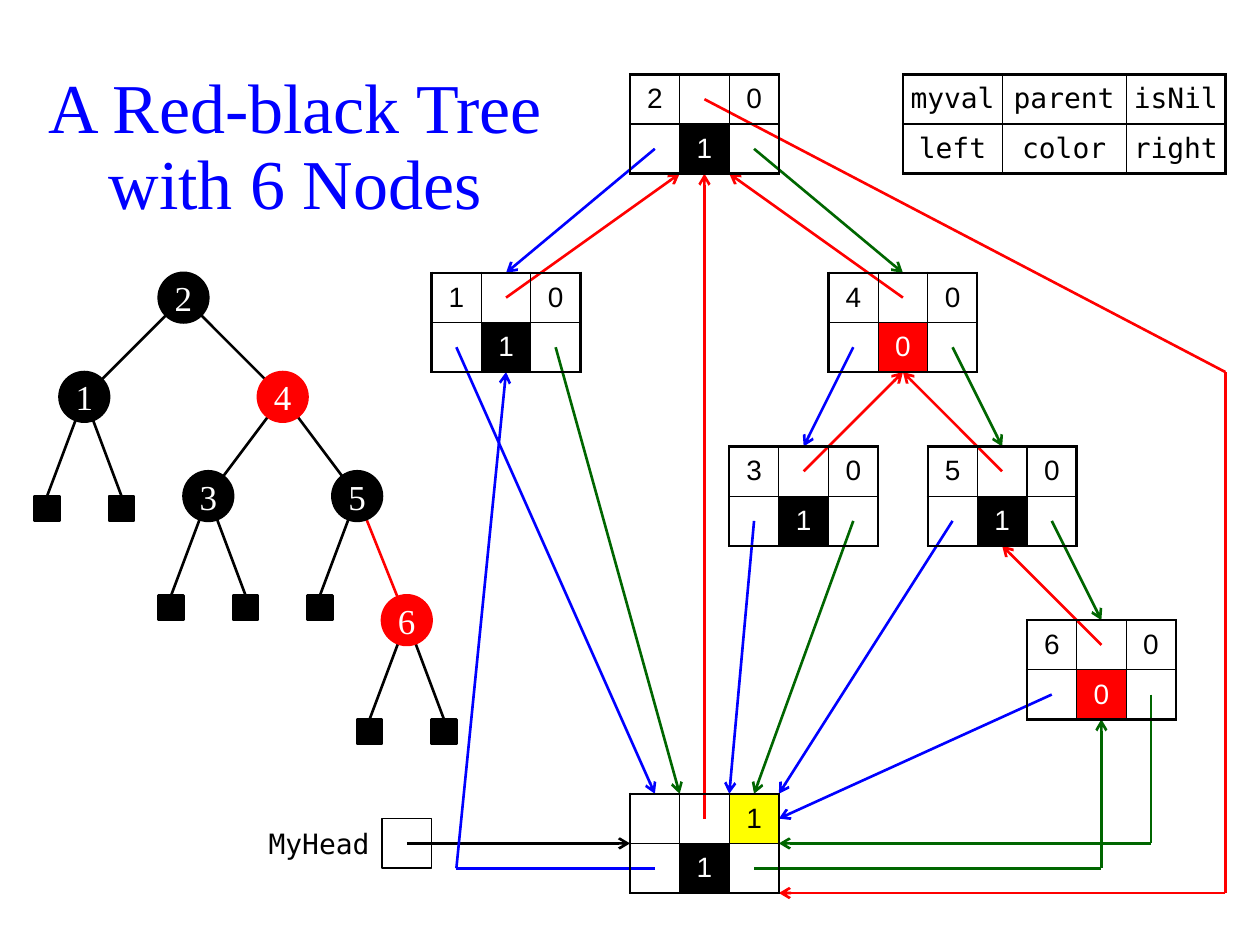
from itertools import pairwise, product

from lxml.etree import SubElement as Sub
from pptx import Presentation
from pptx.dml.color import RGBColor as Rgb
from pptx.enum.shapes import MSO_CONNECTOR as Line, MSO_SHAPE as Form
from pptx.enum.text import MSO_ANCHOR as Anchor, MSO_AUTO_SIZE as Fit, PP_ALIGN as Align
from pptx.oxml.ns import qn
from pptx.util import Pt

BLACK = Rgb(0, 0, 0)
WHITE = Rgb(255, 255, 255)
RED = Rgb(255, 0, 0)
GREEN = Rgb(0, 0x66, 0)
BLUE = Rgb(0, 0, 255)
YELLOW = Rgb(255, 255, 0)
SERIF, SANS, MONO = "Times New Roman", "Arial", "DejaVu Sans Mono"

# Everything sits on a grid of square units, in points
UNIT = 28.35
INDENT = 19.84
THICK, THIN = 1.5, 0.75

# Top left corner of each record, in grid units
PLACES = {"2": (12, 1.5), "1": (8, 5.5), "4": (16, 5.5), "3": (14, 9),
          "5": (18, 9), "6": (20, 12.5), "head": (12, 16)}
REDS = {"4", "6"}
# Anchor points within a record
SPOTS = {"parent": (1.5, 0.5), "left": (0.5, 1.5), "right": (2.5, 1.5),
         "top": (1.5, 0), "bottom": (1.5, 2)}
HUES = {"parent": RED, "left": BLUE, "right": GREEN}
# Pointers: node, field, then the stops on the way
LINKS = [
    ("2", "left", ("1", "top")), ("2", "right", ("4", "top")),
    ("4", "left", ("3", "top")), ("4", "right", ("5", "top")),
    ("5", "right", ("6", "top")),
    ("1", "parent", (13, 3.5)), ("4", "parent", (14, 3.5)),
    ("3", "parent", ("4", "bottom")), ("5", "parent", ("4", "bottom")),
    ("6", "parent", ("5", "bottom")), ("head", "parent", ("2", "bottom")),
    ("1", "left", (12.5, 16)), ("1", "right", (13, 16)),
    ("3", "left", (14, 16)), ("3", "right", (14.5, 16)),
    ("5", "left", (15, 16)), ("6", "left", (15, 16.5)),
    ("2", "parent", (24, 7.5), (24, 18), (15, 18)),
    ("6", "right", (22.5, 17), (15, 17)),
    ("head", "left", (8.5, 17.5), ("1", "bottom")),
    ("head", "right", (21.5, 17.5), ("6", "bottom")),
]
# Tree: value, step from its parent, left child, right child
TREE = ("2", (0, 0),
        ("1", (-2, 2), None, None),
        ("4", (2, 2),
         ("3", (-1.5, 2), None, None),
         ("5", (1.5, 2), None, ("6", (1, 2.5), None, None))))


def size(n):
    return Pt(n * UNIT)


def left(n):
    return Pt(INDENT + n * UNIT)


def box(x, y, w, h):
    return left(x), size(y), size(w), size(h)


def write(frame, text, face, pts, color, align=Align.CENTER):
    frame.text = text
    para = frame.paragraphs[0]
    para.alignment = align
    for run in para.runs:
        run.font.name, run.font.size = face, Pt(pts)
        run.font.color.rgb = color
    return para


def trim(frame):
    frame.margin_left = frame.margin_right = 0
    frame.margin_top = frame.margin_bottom = 0


def draw(slide, form, area, fill, edge, width=THICK):
    shape = slide.shapes.add_shape(form, *area)
    shape.shadow.inherit = False
    shape.fill.solid()
    shape.fill.fore_color.rgb = fill
    shape.line.color.rgb = edge
    shape.line.width = Pt(width)
    return shape


def join(slide, start, end, color, arrow=False):
    line = slide.shapes.add_connector(
        Line.STRAIGHT, left(start[0]), size(start[1]), left(end[0]), size(end[1]))
    line.line.color.rgb = color
    line.line.width = Pt(THICK)
    if arrow:
        Sub(line.line._get_or_add_ln(), qn("a:tailEnd"), type="arrow")
    Sub(line._element.spPr, qn("a:effectLst"))
    return line


def border(cell, sides):
    props = cell._tc.get_or_add_tcPr()
    for side, width in sides.items():
        edge = Sub(props, qn("a:ln" + side), w=str(Pt(width)))
        Sub(Sub(edge, qn("a:solidFill")), qn("a:srgbClr"), val=str(BLACK))


def grid(slide, x, y, widths, rows, face, fills):
    """A table whose fills map (row, column) to fill and font colours."""
    table = slide.shapes.add_table(
        len(rows), len(widths), *box(x, y, sum(widths), len(rows))).table
    table.first_row = table.horz_banding = False
    for col, width in zip(table.columns, widths):
        col.width = size(width)
    for r, c in product(range(len(rows)), range(len(widths))):
        cell = table.cell(r, c)
        border(cell, {"L": THIN if c else THICK,
                      "R": THICK if c == len(widths) - 1 else THIN,
                      "T": THIN if r else THICK,
                      "B": THICK if r == len(rows) - 1 else THIN})
        fill, ink = fills.get((r, c), (None, BLACK))
        if fill is None:
            cell.fill.background()
        else:
            cell.fill.solid()
            cell.fill.fore_color.rgb = fill
        trim(cell)
        cell.vertical_anchor = Anchor.MIDDLE
        write(cell.text_frame, rows[r][c], face, 16, ink)


def record(slide, name, x, y):
    red, head = name in REDS, name == "head"
    fills = {(1, 1): (RED if red else BLACK, WHITE)}
    if head:
        fills[0, 2] = YELLOW, BLACK
    rows = [["" if head else name, "", "1" if head else "0"],
            ["", "0" if red else "1", ""]]
    grid(slide, x, y, [1, 1, 1], rows, SANS, fills)


def spot(node, part):
    """A grid point, from a record's anchor or from plain numbers."""
    if node not in PLACES:
        return node, part
    (x, y), (dx, dy) = PLACES[node], SPOTS[part]
    return x + dx, y + dy


def links(slide):
    for node, field, *stops in LINKS:
        points = [spot(node, field)] + [spot(*stop) for stop in stops]
        for start, end in pairwise(points):
            join(slide, start, end, HUES[field], end == points[-1])


def tree(slide, node, x, y):
    """Draw a subtree with its root centred at x, y."""
    value, _, *kids = node
    for kid, sign in zip(kids, (-1, 1)):
        if kid:
            end = x + kid[1][0], y + kid[1][1]
            both = value in REDS or kid[0] in REDS
            color = RED if both and value == "5" else BLACK
            join(slide, (x, y), end, color)
            tree(slide, kid, *end)
        else:
            end = x + sign * 0.75, y + 2
            nil = draw(slide, Form.RECTANGLE,
                       box(end[0] - 0.25, end[1], 0.5, 0.5), BLACK, BLACK)
            join(slide, (x, y), end, BLACK).end_connect(nil, 0)
    fill = RED if value in REDS else BLACK
    disc = draw(slide, Form.OVAL, box(x - 0.5, y - 0.5, 1, 1), fill, fill)
    trim(disc.text_frame)
    disc.text_frame.vertical_anchor = Anchor.MIDDLE
    write(disc.text_frame, value, SERIF, 20, WHITE)


def heading(slide, x, y, w, h):
    title = slide.shapes.title
    title.left, title.top, title.width, title.height = box(x, y, w, h)
    frame = title.text_frame
    trim(frame)
    frame.word_wrap, frame.auto_size = True, Fit.NONE
    frame.vertical_anchor = Anchor.MIDDLE
    para = write(frame, "A Red-black Tree with 6 Nodes", SERIF, 40, BLUE)
    para.line_spacing = 0.9


def pointer(slide, x, y):
    """The MyHead label, its cell and the arrow to the head record."""
    frame = slide.shapes.add_textbox(*box(x, y, 3, 1)).text_frame
    frame.word_wrap, frame.vertical_anchor = True, Anchor.MIDDLE
    write(frame, "MyHead", MONO, 16, BLACK, Align.RIGHT)
    draw(slide, Form.RECTANGLE, box(x + 3, y, 1, 1), WHITE, BLACK, 1)
    join(slide, (x + 3.5, y + 0.5), (x + 8, y + 0.5), BLACK, True)


def main():
    deck = Presentation()
    deck.slide_width, deck.slide_height = Pt(720), Pt(540)
    slide = deck.slides.add_slide(deck.slide_layouts[5])
    heading(slide, 0, 1.5, 10.5, 3)
    pointer(slide, 4, 16.5)
    links(slide)
    for name, place in PLACES.items():
        record(slide, name, *place)
    # Legend of the fields
    grid(slide, 17.5, 1.5, [2, 2.5, 2],
         [["myval", "parent", "isNil"], ["left", "color", "right"]], MONO, {})
    tree(slide, TREE, 3, 6)
    deck.save("out.pptx")


if __name__ == "__main__":
    main()
